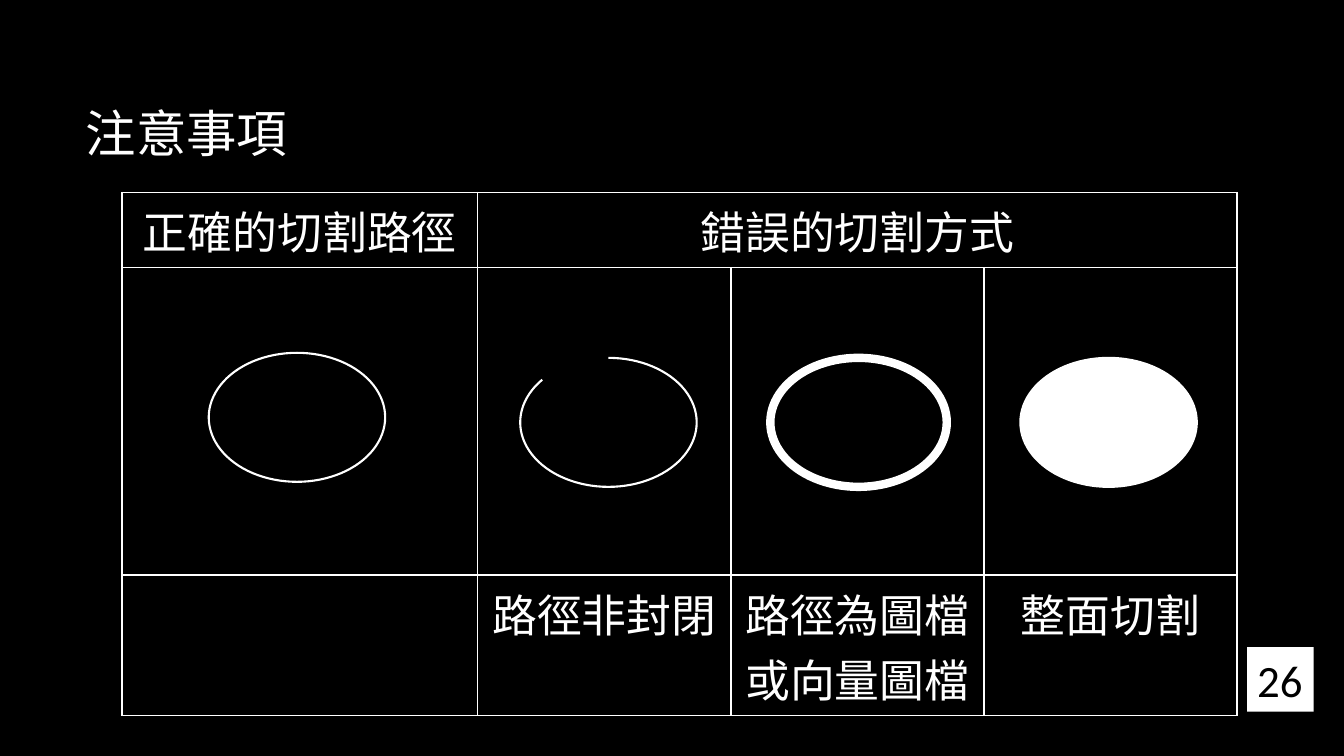
from lxml.etree import SubElement
from pptx import Presentation
from pptx.dml.color import RGBColor
from pptx.enum.shapes import MSO_SHAPE
from pptx.enum.text import MSO_ANCHOR, MSO_AUTO_SIZE, PP_ALIGN
from pptx.oxml.ns import qn
from pptx.util import Inches, Pt

WHITE, BLACK = "FFFFFF", "000000"
CJK_FONT = "Noto Sans CJK SC"


def color(hex_value):
    return RGBColor.from_string(hex_value)


def style_paragraph(paragraph, size, hex_value, font_name, alignment):
    """Format a paragraph, using the font for Latin and East Asian text alike."""
    paragraph.alignment = alignment
    paragraph.font.size = Pt(size)
    paragraph.font.color.rgb = color(hex_value)
    paragraph.font.name = font_name
    properties = paragraph._p.pPr.find(qn("a:defRPr"))
    SubElement(properties, qn("a:ea"), typeface=font_name)


presentation = Presentation()
presentation.slide_width = Inches(13.33)
presentation.slide_height = Inches(7.5)
slide = presentation.slides.add_slide(presentation.slide_layouts[5])
slide.background.fill.solid()
slide.background.fill.fore_color.rgb = color(BLACK)

# Title
title = slide.shapes.title
title.left, title.top = Inches(0.75), Inches(0.67)
title.width, title.height = Inches(11.08), Inches(1.29)
title.text_frame.text = "注意事項"
title.text_frame.vertical_anchor = MSO_ANCHOR.MIDDLE
style_paragraph(title.text_frame.paragraphs[0], 36, WHITE, CJK_FONT, PP_ALIGN.LEFT)

# Comparison table
column_widths = [3.53, 2.51, 2.51, 2.51]
row_heights = [0.69, 3.05, 0.69]
cell_texts = [
    ["正確的切割路徑", "錯誤的切割方式", "", ""],
    ["", "", "", ""],
    ["", "路徑非封閉", "路徑為圖檔或向量圖檔", "整面切割"],
]
table = slide.shapes.add_table(
    len(row_heights), len(column_widths), Inches(1.21), Inches(1.91),
    Inches(sum(column_widths)), Inches(sum(row_heights))).table
for column, width in zip(table.columns, column_widths):
    column.width = Inches(width)
for row, height, texts in zip(table.rows, row_heights, cell_texts):
    row.height = Inches(height)
    for cell, text in zip(row.cells, texts):
        cell_properties = cell._tc.get_or_add_tcPr()
        for side in ("a:lnL", "a:lnR", "a:lnT", "a:lnB"):
            border = SubElement(cell_properties, qn(side), w=str(Pt(1)))
            border_fill = SubElement(border, qn("a:solidFill"))
            SubElement(border_fill, qn("a:srgbClr"), val=WHITE)
        cell.fill.background()
        if text:
            cell.text = text
            style_paragraph(cell.text_frame.paragraphs[0], 32, WHITE, CJK_FONT,
                            PP_ALIGN.CENTER)
table.cell(0, 1).merge(table.cell(0, 3))

# Cutting path examples: preset, left, top, line width, filled
examples = [
    (MSO_SHAPE.OVAL, 2.07, 3.5, 1.5, False),
    (MSO_SHAPE.ARC, 5.16, 3.55, 1.5, False),
    (MSO_SHAPE.OVAL, 7.64, 3.55, 6, False),
    (MSO_SHAPE.OVAL, 10.12, 3.55, 1.5, True),
]
for preset, left, top, line_width, filled in examples:
    example = slide.shapes.add_shape(
        preset, Inches(left), Inches(top), Inches(1.75), Inches(1.28))
    example.shadow.inherit = False
    example.line.color.rgb = color(WHITE)
    example.line.width = Pt(line_width)
    if filled:
        example.fill.solid()
        example.fill.fore_color.rgb = color(WHITE)
    else:
        example.fill.background()
    if preset == MSO_SHAPE.ARC:
        # Angles in units of 100000/60000 degree: 270 to 212.8 degrees
        example.adjustments[0] = 162
        example.adjustments[1] = 127.67

# Page number
page_number = slide.shapes.add_shape(
    MSO_SHAPE.RECTANGLE, Inches(12.37), Inches(6.42), Inches(0.66), Inches(0.64))
page_number.shadow.inherit = False
page_number.fill.solid()
page_number.fill.fore_color.rgb = color(WHITE)
page_number.line.fill.background()
page_number.text_frame.text = "26"
page_number.text_frame.word_wrap = False
page_number.text_frame.auto_size = MSO_AUTO_SIZE.SHAPE_TO_FIT_TEXT
style_paragraph(page_number.text_frame.paragraphs[0], 32, BLACK, "Calibri", PP_ALIGN.LEFT)

presentation.save("out.pptx")
